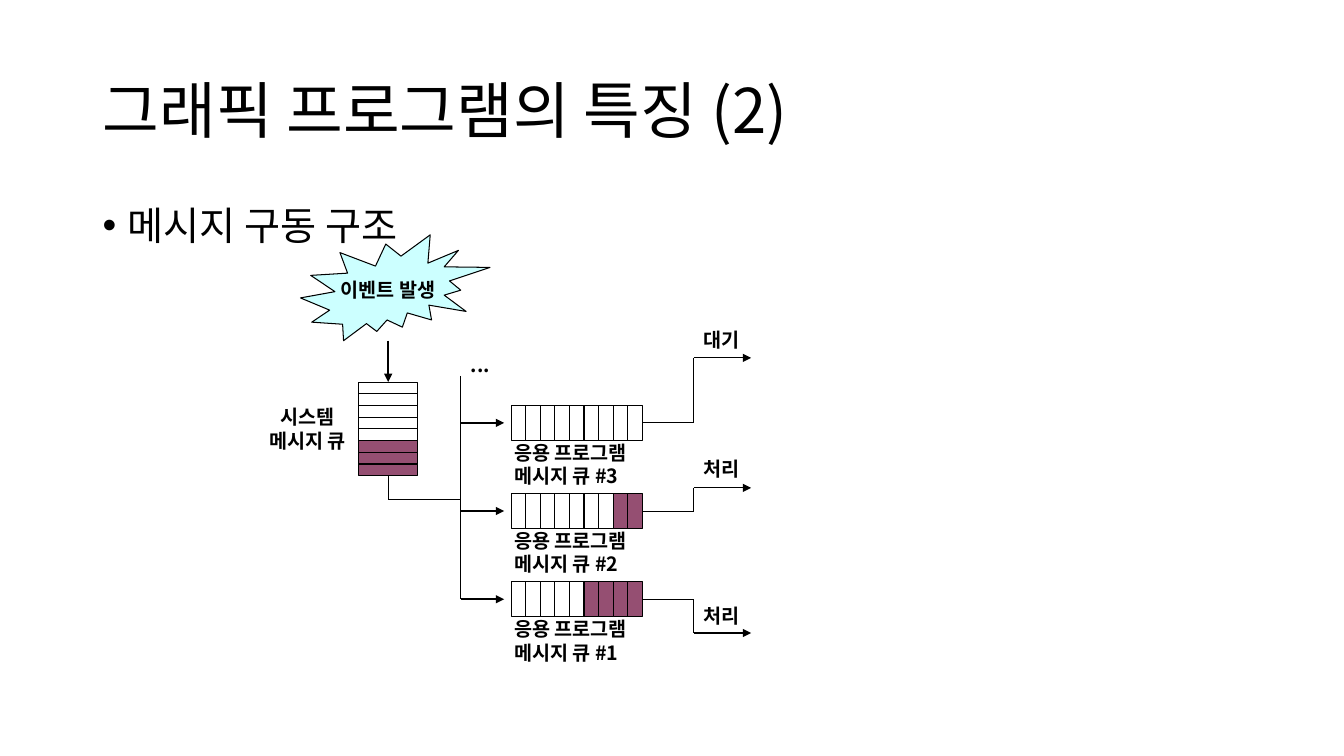
from dataclasses import dataclass

import pptx
import pptx.dml.color
import pptx.enum.shapes
import pptx.enum.text
import pptx.util
from lxml import etree
from pptx.oxml.ns import qn

Inches = pptx.util.Inches
Pt = pptx.util.Pt
Align = pptx.enum.text.PP_ALIGN
Anchor = pptx.enum.text.MSO_ANCHOR
Shape = pptx.enum.shapes.MSO_SHAPE
TOP, BOTTOM, RIGHT = 0, 2, 3


@dataclass(frozen=True)
class Theme:
    font: str = "Noto Sans CJK KR"
    ink: str = "000000"
    message: str = "954F72"
    event: str = "CCFFFF"
    title_size: int = 44
    body_size: int = 28
    label_size: int = 14
    thin: float = 0.75
    thick: float = 1.5


THEME = Theme()


def rgb(value):
    return pptx.dml.color.RGBColor.from_string(value)


def write(frame, lines, size=THEME.label_size, bold=True, align=Align.LEFT,
          anchor=Anchor.MIDDLE, wrap=False, spacing=None):
    frame.word_wrap = wrap
    frame.vertical_anchor = anchor
    for index, line in enumerate(lines):
        paragraph = frame.add_paragraph() if index else frame.paragraphs[0]
        paragraph.alignment = align
        paragraph.line_spacing = spacing
        run = paragraph.add_run()
        run.text = line
        run.font.name = THEME.font
        run.font.size = Pt(size)
        run.font.bold = bold
        run.font.color.rgb = rgb(THEME.ink)
        east_asian = etree.SubElement(run.font._element, qn("a:ea"))
        east_asian.set("typeface", THEME.font)


def add_text(slide, box, lines, **style):
    frame = slide.shapes.add_textbox(*map(Inches, box)).text_frame
    write(frame, lines, **style)
    return frame


def add_outlined(slide, kind, box, fill=None):
    shape = slide.shapes.add_shape(kind, *map(Inches, box))
    shape.shadow.inherit = False
    if fill:
        shape.fill.solid()
        shape.fill.fore_color.rgb = rgb(fill)
    else:
        shape.fill.background()
    shape.line.color.rgb = rgb(THEME.ink)
    shape.line.width = Pt(THEME.thin)
    return shape


def add_route(slide, points, arrow=False, width=THEME.thin):
    """Join the points with straight lines; the arrowhead goes on the last."""
    lines = []
    for start, end in zip(points, points[1:]):
        line = slide.shapes.add_connector(
            pptx.enum.shapes.MSO_CONNECTOR.STRAIGHT, *map(Inches, start + end))
        line.line.color.rgb = rgb(THEME.ink)
        line.line.width = Pt(width)
        etree.SubElement(line._element.spPr, qn("a:effectLst"))
        lines.append(line)
    if arrow:
        head = etree.SubElement(lines[-1].line._get_or_add_ln(), qn("a:tailEnd"))
        head.set("type", "triangle")
    return lines


def add_queue(slide, box, slots, filled, vertical=False):
    """Draw a row or column of slots whose last ones hold messages."""
    left, top, width, height = box
    dx, dy = (0, height / slots) if vertical else (width / slots, 0)
    size = (dx or width, dy or height)
    return [add_outlined(slide, Shape.RECTANGLE,
                         (left + i * dx, top + i * dy, *size),
                         THEME.message if i >= slots - filled else None)
            for i in range(slots)]


def add_heading(slide, box):
    add_text(slide, box, ["그래픽 프로그램의 특징 (2)"], size=THEME.title_size,
             bold=False, wrap=True, spacing=0.9)


def add_body(slide, box):
    frame = add_text(slide, box, ["메시지 구동 구조"], size=THEME.body_size,
                     bold=False, wrap=True, spacing=0.9, anchor=Anchor.TOP)
    properties = frame.paragraphs[0]._p.get_or_add_pPr()
    properties.set("marL", str(Inches(0.25)))
    properties.set("indent", str(-Inches(0.25)))
    etree.SubElement(properties, qn("a:buFont")).set("typeface", "Arial")
    etree.SubElement(properties, qn("a:buChar")).set("char", "•")


def add_system_queue(slide, box, bus_x):
    """Event, system queue below it and the line out to the bus."""
    left, top, width, height = box
    middle, bottom = left + 0.87, top + 2.39
    event = add_outlined(slide, Shape.EXPLOSION2, (left, top, width, 1.05),
                         THEME.event)
    write(event.text_frame, ["이벤트 발생"], align=Align.CENTER)
    slots = add_queue(slide, (middle - 0.29, top + 1.46, 0.58, 0.93), 8, 3,
                      vertical=True)
    add_text(slide, (left - 0.57, top + 1.75, 1.28, 0.35),
             ["시스템", "메시지 큐"], align=Align.CENTER)
    arrival, = add_route(slide, [(middle, top + 1.05), (middle, top + 1.46)],
                         arrow=True, width=THEME.thick)
    arrival.end_connect(slots[0], TOP)
    exit_line = add_route(slide, [(middle, bottom), (middle, top + height),
                                  (bus_x, top + height)])[0]
    exit_line.begin_connect(slots[-1], BOTTOM)


def add_program_queue(slide, box, bus_x, number, filled, state, out_y, state_y):
    """One program queue with its feed, caption and outgoing arrow."""
    left, top, width, height = box
    right, middle, turn = left + width, top + height / 2, left + width + 0.51
    slots = add_queue(slide, box, 9, filled)
    add_text(slide, (left - 0.07, top + height, 1.59, 0.47),
             ["응용 프로그램", f"메시지 큐 #{number}"])
    add_route(slide, [(bus_x, middle), (left - 0.07, middle)], arrow=True,
              width=THEME.thick)
    way_out = add_route(slide, [(right, middle), (turn, middle), (turn, out_y),
                                (turn + 0.57, out_y)], arrow=True)
    way_out[0].begin_connect(slots[-1], RIGHT)
    add_text(slide, (turn, state_y, 0.58, 0.12), [state])


def add_program_queues(slide, box, bus_x):
    left, top, width, height = box
    queue_height = 0.35
    pitch = (height - queue_height) / 2
    add_route(slide, [(bus_x, top - 0.29), (bus_x, top + height - queue_height / 2)])
    add_text(slide, (bus_x, top - 0.64, 1.59, 0.47), ["..."])
    queues = [(3, 0, "대기", 3.55, 3.31),
              (2, 2, "처리", 4.84, 4.59),
              (1, 4, "처리", 6.28, 6.05)]
    for row, queue in enumerate(queues):
        add_program_queue(slide, (left, top + row * pitch, width, queue_height),
                          bus_x, *queue)


def main():
    deck = pptx.Presentation()
    deck.slide_width, deck.slide_height = Inches(13.33), Inches(7.5)
    slide = deck.slides.add_slide(deck.slide_layouts[6])
    bus_x = 4.57
    add_heading(slide, (0.92, 0.4, 11.5, 1.45))
    add_body(slide, (0.92, 2, 11.5, 4.76))
    add_system_queue(slide, (2.98, 2.33, 1.88, 2.63), bus_x)
    add_program_queues(slide, (5.07, 4.02, 1.3, 2.1), bus_x)
    deck.save("out.pptx")


if __name__ == "__main__":
    main()
